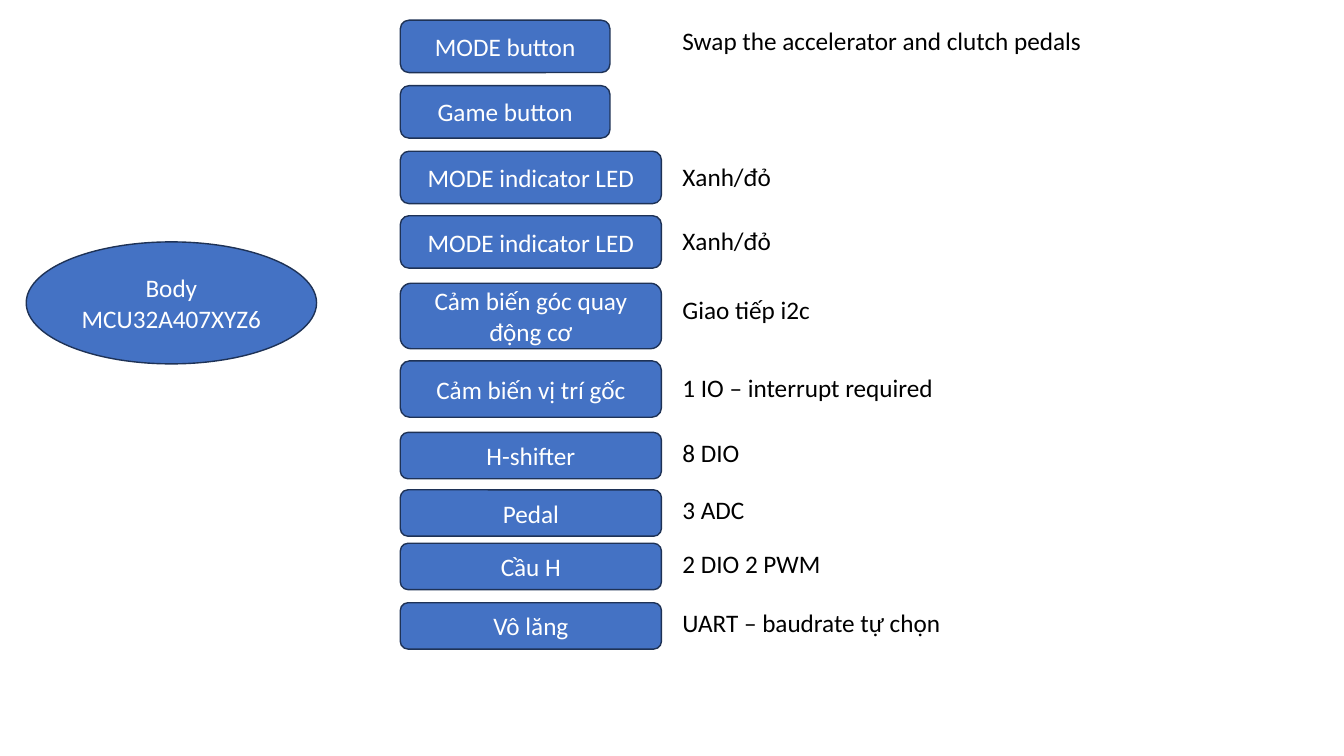
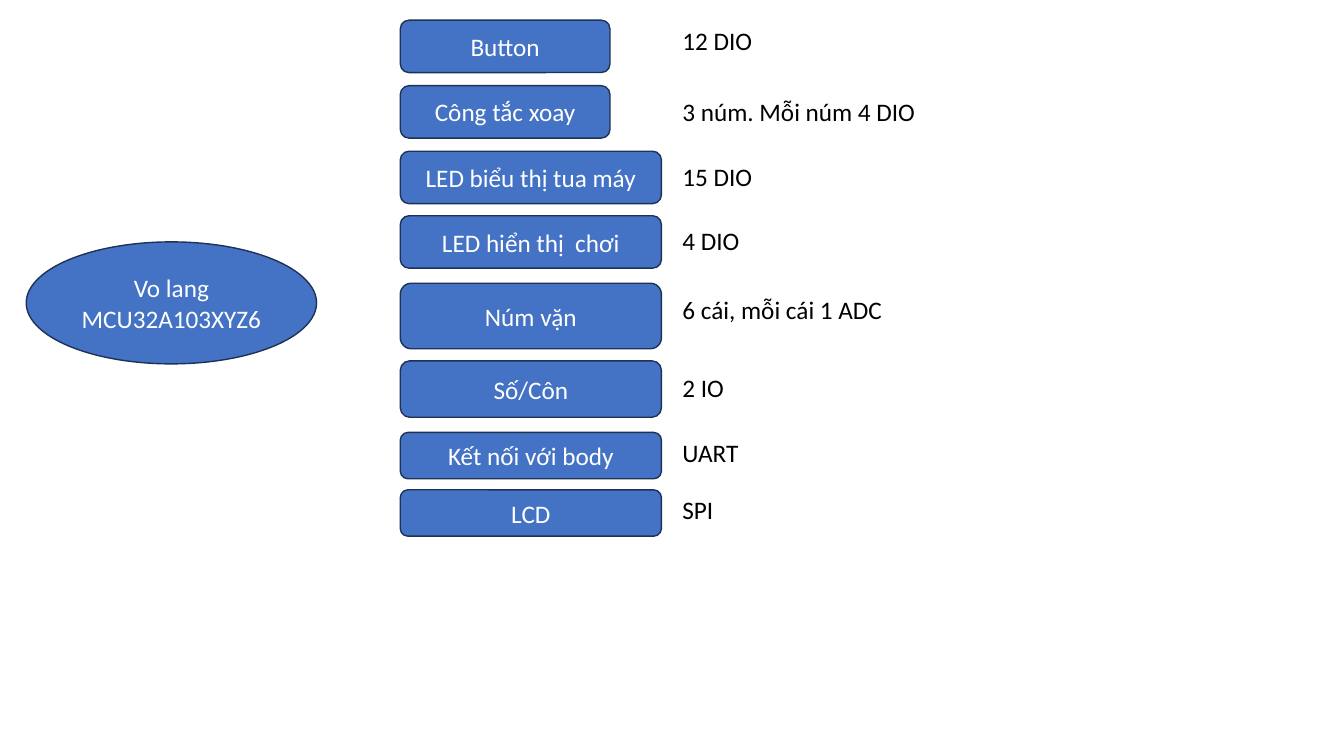
from collections import namedtuple

from pptx import Presentation
from pptx.dml.color import RGBColor
from pptx.enum.shapes import MSO_SHAPE
from pptx.enum.text import MSO_ANCHOR, MSO_AUTO_SIZE, PP_ALIGN
from pptx.util import Inches, Pt

ELLIPSE = MSO_SHAPE.OVAL
ROUNDED = MSO_SHAPE.ROUNDED_RECTANGLE
MIDDLE = MSO_ANCHOR.MIDDLE
CENTER = PP_ALIGN.CENTER
GROW = MSO_AUTO_SIZE.SHAPE_TO_FIT_TEXT

COLORS = {"fill": "4472C4", "outline": "1E3256", "light": "FFFFFF", "dark": "000000"}
FONT = "Calibri"
TEXT_SIZE = 18

# Each page: controller name, then (part, note) pairs from top to bottom.
PAGES = [
    ("Body\nMCU32A407XYZ6", [
        ("MODE button", "Swap the accelerator and clutch pedals"),
        ("Game button", ""),
        ("MODE indicator LED", "Xanh/đỏ"),
        ("MODE indicator LED", "Xanh/đỏ"),
        ("Cảm biến góc quay động cơ", "Giao tiếp i2c"),
        ("Cảm biến vị trí gốc", "1 IO – interrupt required"),
        ("H-shifter", "8 DIO"),
        ("Pedal", "3 ADC"),
        ("Cầu H", "2 DIO 2 PWM"),
        ("Vô lăng", "UART – baudrate tự chọn"),
    ]),
    ("Vo lang\nMCU32A103XYZ6", [
        ("Button", "12 DIO"),
        ("Công tắc xoay", "3 núm. Mỗi núm 4 DIO"),
        ("LED biểu thị tua máy", "15 DIO"),
        ("LED hiển thị  chơi", "4 DIO"),
        ("Núm vặn", "6 cái, mỗi cái 1 ADC"),
        ("Số/Côn", "2 IO"),
        ("Kết nối với body", "UART"),
        ("LCD", "SPI"),
    ]),
]

# Shared layout, in inches.
CONTROLLER = (0.26, 2.4, 2.88, 1.21)
PART_LEFT, NARROW, WIDE = 3.97, 2.08, 2.59
NOTE_LEFT, NOTE_WIDTH, NOTE_HEIGHT = 6.67, 6.16, 0.4

Row = namedtuple("Row", "top width height note_drop")
ROWS = [
    Row(0.2, NARROW, 0.52, 0),
    Row(0.85, NARROW, 0.52, 0.06),
    Row(1.5, WIDE, 0.52, 0.05),
    Row(2.14, WIDE, 0.52, 0.05),
    Row(2.81, WIDE, 0.65, 0.06),
    Row(3.58, WIDE, 0.56, 0.06),
    Row(4.29, WIDE, 0.46, 0),
    Row(4.86, WIDE, 0.46, 0),
    Row(5.39, WIDE, 0.46, 0),
    Row(5.98, WIDE, 0.46, 0),
]


def color(name):
    return RGBColor.from_string(COLORS[name])


def write(box, text, color_name, align=None):
    frame = box.text_frame
    frame.word_wrap = True
    frame.text = text
    for para in frame.paragraphs:
        para.alignment = align
        for span in para.runs:
            span.font.name = FONT
            span.font.size = Pt(TEXT_SIZE)
            span.font.color.rgb = color(color_name)


def add_block(page, kind, place, text):
    """Add a filled, outlined shape with centred light text."""
    block = page.shapes.add_shape(kind, *map(Inches, place))
    block.shadow.inherit = False
    block.fill.solid()
    block.fill.fore_color.rgb = color("fill")
    block.line.color.rgb = color("outline")
    block.line.width = Pt(1)
    block.text_frame.vertical_anchor = MIDDLE
    write(block, text, "light", CENTER)


def add_note(page, top, text):
    place = (NOTE_LEFT, top, NOTE_WIDTH, NOTE_HEIGHT)
    note = page.shapes.add_textbox(*map(Inches, place))
    write(note, text, "dark")
    note.text_frame.auto_size = GROW


def add_page(deck, controller, parts):
    page = deck.slides.add_slide(deck.slide_layouts.get_by_name("Blank"))
    add_block(page, ELLIPSE, CONTROLLER, controller)
    for row, (part, note) in zip(ROWS, parts):
        add_block(page, ROUNDED, (PART_LEFT, row.top, row.width, row.height), part)
        if note:
            add_note(page, row.top + row.note_drop, note)


def main():
    deck = Presentation()
    deck.slide_width, deck.slide_height = Inches(13.33), Inches(7.5)
    for controller, parts in PAGES:
        add_page(deck, controller, parts)
    deck.save("out.pptx")


if __name__ == "__main__":
    main()
